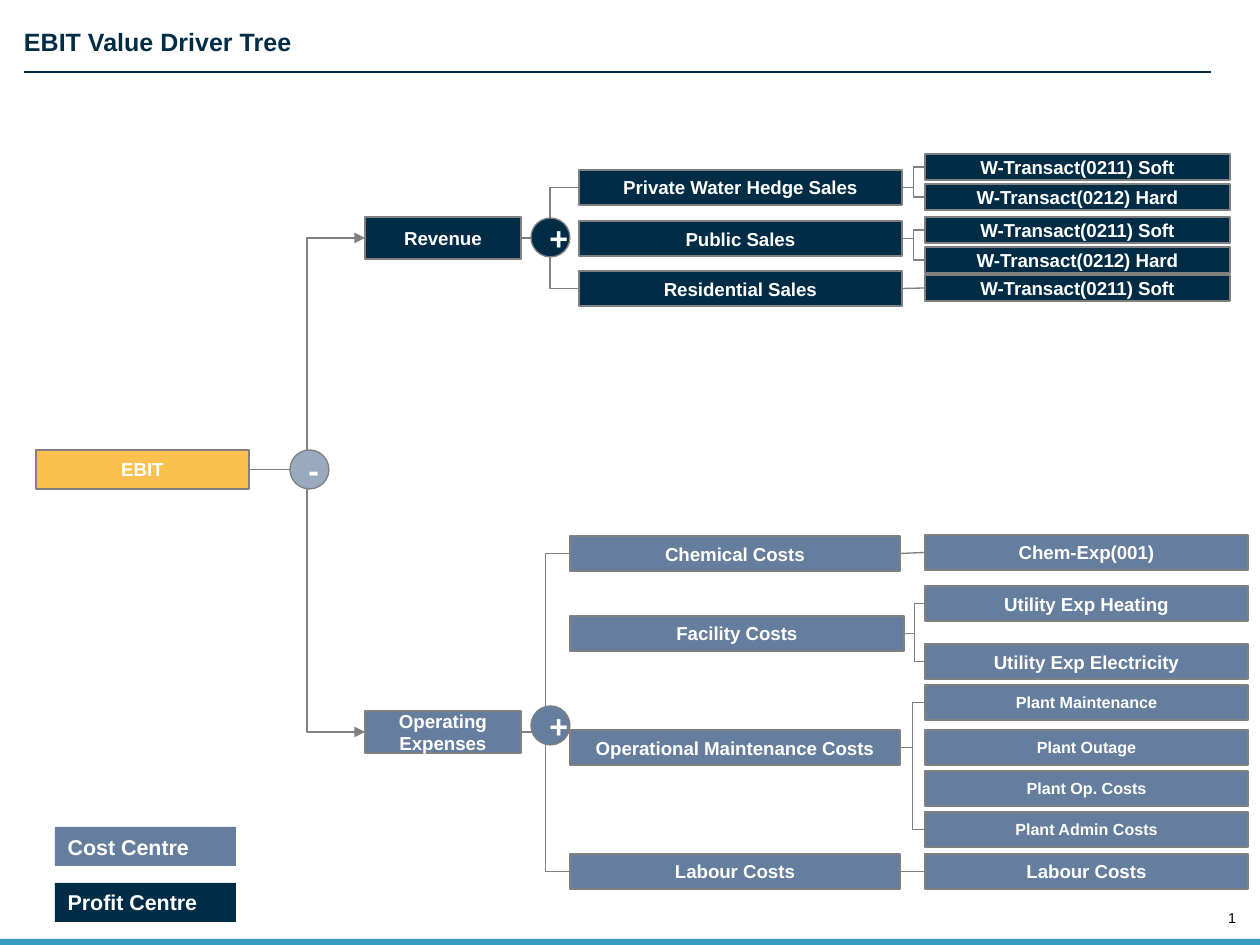
from lxml.etree import SubElement
from pptx import Presentation
from pptx.dml.color import RGBColor
from pptx.enum.shapes import MSO_CONNECTOR, MSO_SHAPE
from pptx.enum.text import MSO_ANCHOR, MSO_AUTO_SIZE, PP_ALIGN
from pptx.oxml.ns import qn
from pptx.util import Pt

SCALE = 7112
COLORS = {
    "profit": "002C46", "cost": "657E9D", "result": "FBC14E", "minus": "99AABE",
    "line": "808080", "footer": "379BBD", "white": "FFFFFF", "black": "000000",
}
TITLE = "EBIT Value Driver Tree"
RESULT = ("EBIT", (36, 450, 213, 39))
BRANCHES = [
    {
        "name": "Revenue", "color": "profit", "top": 217,
        "driver_place": (579, 323, 35), "account_place": (925, 305, 26),
        "drivers": [
            ("Private Water Hedge Sales", 170, 323,
             [("W-Transact(0211) Soft", 154, 10.5), ("W-Transact(0212) Hard", 184, 10.5)]),
            ("Public Sales", 221, 323,
             [("W-Transact(0211) Soft", 217, 10.5), ("W-Transact(0212) Hard", 247, 10.5)]),
            ("Residential Sales", 271, 323, [("W-Transact(0211) Soft", 275, 10.5)]),
        ],
    },
    {
        "name": "Operating Expenses", "color": "cost", "top": 711,
        "driver_place": (570, 330, 35), "account_place": (925, 323, 35),
        "drivers": [
            ("Chemical Costs", 536, 330, [("Chem-Exp(001)", 535, 10.5)]),
            ("Facility Costs", 616, 334,
             [("Utility Exp Heating", 586, 10.5), ("Utility Exp Electricity", 644, 10.5)]),
            ("Operational Maintenance Costs", 730, 330,
             [("Plant Maintenance", 685, 9), ("Plant Outage", 730, 9),
              ("Plant Op. Costs", 771, 9), ("Plant Admin Costs", 812, 9)]),
            ("Labour Costs", 854, 330, [("Labour Costs", 854, 10.5)]),
        ],
    },
]
OPERATORS = [("-", 290, 450, "minus"), ("+", 531, 218, "profit"), ("+", 531, 706, "cost")]
LEGEND = [("Cost Centre", 827, "cost"), ("Profit Centre", 883, "profit")]


def emu(*pixels):
    return [round(value * SCALE) for value in pixels]


def rgb(name):
    return RGBColor.from_string(COLORS[name])


def write(frame, text, size, color="white", align=PP_ALIGN.CENTER, bold=True):
    para = frame.paragraphs[0]
    para.alignment = align
    span = para.add_run()
    span.text = text
    span.font.name = "Arial"
    span.font.size = Pt(size)
    span.font.bold = bold
    span.font.color.rgb = rgb(color)


def remove_margins(frame):
    frame.margin_left = frame.margin_top = frame.margin_right = frame.margin_bottom = 0


def add_box(place, color, text="", size=10.5, kind=MSO_SHAPE.RECTANGLE,
            outlined=True, align=PP_ALIGN.CENTER):
    box = page.shapes.add_shape(kind, *emu(*place))
    box.shadow.inherit = False
    box.fill.solid()
    box.fill.fore_color.rgb = rgb(color)
    if outlined:
        box.line.color.rgb = rgb("line")
        box.line.width = Pt(0.75)
    else:
        box.line.fill.background()
    if text:
        box.text_frame.word_wrap = True
        box.text_frame.vertical_anchor = MSO_ANCHOR.MIDDLE
        write(box.text_frame, text, size, align=align)
    return box


def add_line(kind, color, ends=(0, 0, 0, 0)):
    line = page.shapes.add_connector(kind, *emu(*ends))
    line.line.color.rgb = rgb(color)
    line.line.width = Pt(0.75)
    SubElement(line._element.spPr, qn("a:effectLst"))
    return line


def link(parent, children, arrow=False):
    kind = MSO_CONNECTOR.ELBOW if len(children) > 1 else MSO_CONNECTOR.STRAIGHT
    outer = [children[0], children[-1]] if len(children) > 1 else children
    for child in outer:
        line = add_line(kind, "line")
        line.begin_connect(parent, 3)
        line.end_connect(child, 1)
        if arrow:
            SubElement(line.line._get_or_add_ln(), qn("a:tailEnd"), type="triangle")


deck = Presentation()
deck.slide_width, deck.slide_height = emu(1260, 945)
page = deck.slides.add_slide(deck.slide_layouts[5])

title = page.shapes.title
title.left, title.top, title.width, title.height = emu(24, 26, 1229, 31)
remove_margins(title.text_frame)
title.text_frame.auto_size = MSO_AUTO_SIZE.NONE
title.text_frame.vertical_anchor = MSO_ANCHOR.TOP
write(title.text_frame, TITLE, 14, "profit", PP_ALIGN.LEFT)
add_line(MSO_CONNECTOR.STRAIGHT, "profit", (24, 72, 1211, 72))

add_box((0, 939, 1260, 6), "footer", outlined=False)
number = page.shapes.add_textbox(*emu(1200, 909, 36, 17))
remove_margins(number.text_frame)
number.text_frame.word_wrap = True
number.text_frame.vertical_anchor = MSO_ANCHOR.BOTTOM
write(number.text_frame, "1", 8, "black", PP_ALIGN.RIGHT, False)

result = add_box(RESULT[1], "result", RESULT[0])
branch_boxes = []
for branch in BRANCHES:
    color = branch["color"]
    branch_box = add_box((365, branch["top"], 156, 42), color, branch["name"])
    branch_boxes.append(branch_box)
    driver_left, _, driver_height = branch["driver_place"]
    account_left, account_width, account_height = branch["account_place"]
    driver_boxes = []
    for name, top, width, accounts in branch["drivers"]:
        driver_box = add_box((driver_left, top, width, driver_height), color, name)
        driver_boxes.append(driver_box)
        account_boxes = [
            add_box((account_left, account_top, account_width, account_height),
                    color, account, size)
            for account, account_top, size in accounts
        ]
        link(driver_box, account_boxes)
    link(branch_box, driver_boxes)
link(result, branch_boxes, arrow=True)

for sign, left, top, color in OPERATORS:
    add_box((left, top, 39, 39), color, sign, 18, MSO_SHAPE.OVAL)
for name, top, color in LEGEND:
    add_box((55, top, 181, 39), color, name, 12, outlined=False, align=PP_ALIGN.LEFT)

deck.save("out.pptx")
